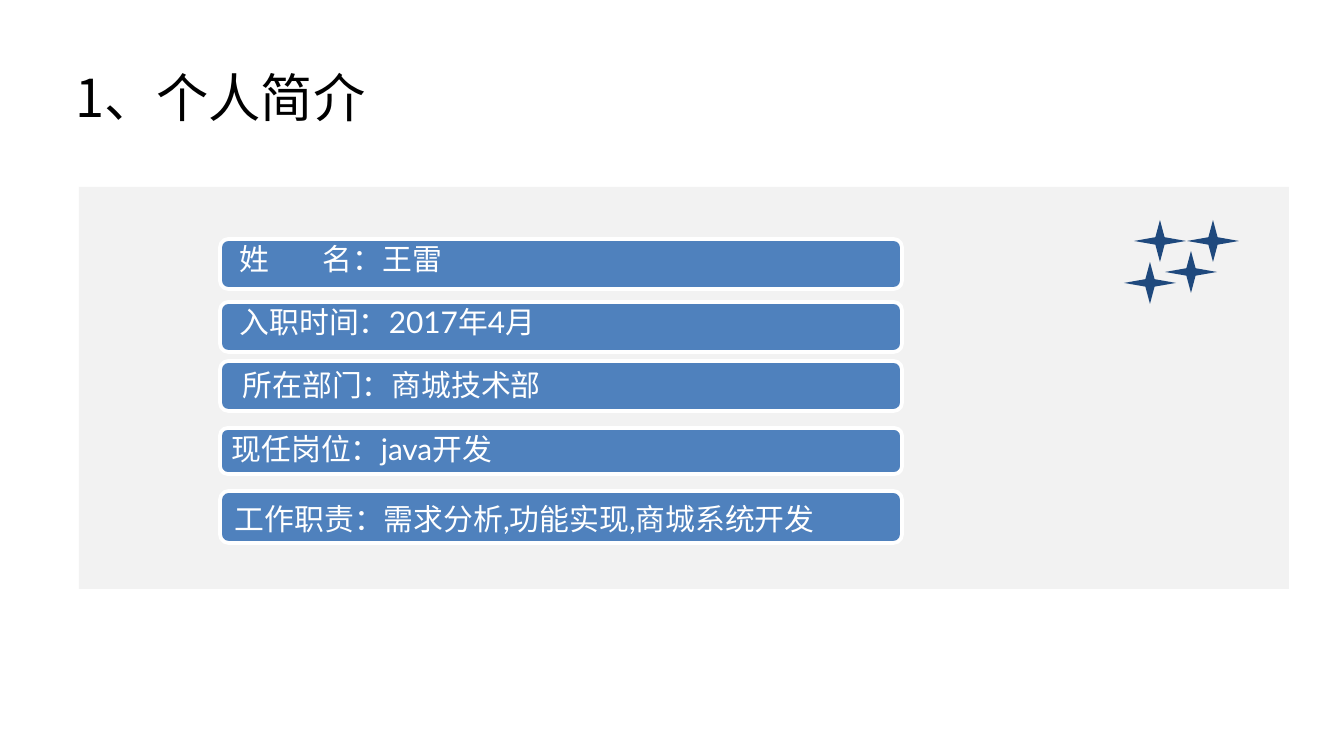
"""Build the personal introduction slide."""
import lxml.etree
import pptx
import pptx.dml.color
import pptx.enum.shapes
import pptx.enum.text
import pptx.oxml.ns
import pptx.util

COLORS = {"panel": "F2F2F2", "bar": "4F81BD", "star": "1F497D",
          "light": "FFFFFF", "title": "000000"}
SHAPES = pptx.enum.shapes.MSO_SHAPE
MIDDLE = pptx.enum.text.MSO_ANCHOR.MIDDLE
LEFT = pptx.enum.text.PP_ALIGN.LEFT


def px(value):
    return pptx.util.Emu(round(value * 914400 / 134.4))


def rgb(name):
    return pptx.dml.color.RGBColor.from_string(COLORS[name])


class SlideBuilder:
    def __init__(self, slide):
        self.slide = slide
        self.title_font = "Noto Sans CJK SC"
        self.body_font = "Lato"

    def format_text(self, paragraph, font_name, size, color):
        paragraph.alignment = LEFT
        paragraph.font.name = font_name
        paragraph.font.size = pptx.util.Pt(size)
        paragraph.font.color.rgb = rgb(color)

    def title(self, text, box):
        title = self.slide.shapes.title
        title.left, title.top, title.width, title.height = map(px, box)
        title.text_frame.text = text
        title.text_frame.vertical_anchor = MIDDLE
        self.format_text(title.text_frame.paragraphs[0], self.title_font, 28, "title")

    def shape(self, kind, box, fill, outline=None):
        shape = self.slide.shapes.add_shape(kind, *map(px, box))
        shape.shadow.inherit = False
        shape.fill.solid()
        shape.fill.fore_color.rgb = rgb(fill)
        if outline:
            shape.line.color.rgb = rgb(outline)
            shape.line.width = pptx.util.Pt(2)
        else:
            shape.line.fill.background()

    def label(self, text, box, tab=None):
        frame = self.slide.shapes.add_textbox(*map(px, box)).text_frame
        frame.word_wrap = True
        frame.vertical_anchor = MIDDLE
        frame.margin_left = frame.margin_right = px(9)
        frame.margin_top = frame.margin_bottom = px(4)
        frame.text = text
        paragraph = frame.paragraphs[0]
        paragraph.line_spacing = 0.9
        if tab:
            qn = pptx.oxml.ns.qn
            properties = paragraph._p.get_or_add_pPr()
            tabs = lxml.etree.SubElement(properties, qn("a:tabLst"))
            lxml.etree.SubElement(tabs, qn("a:tab"), pos=str(px(tab)), algn="l")
        self.format_text(paragraph, self.body_font, 16, "light")


presentation = pptx.Presentation()
presentation.slide_width = px(1344)
presentation.slide_height = px(756)
builder = SlideBuilder(presentation.slides.add_slide(presentation.slide_layouts[5]))

builder.shape(SHAPES.RECTANGLE, (79, 187, 1210, 402), "panel")
builder.title("1、个人简介", (62, 34, 1210, 126))

profile_rows = [
    ("姓\t名：王雷", 239, 50, (231, 239, 677, 44), 83),
    ("入职时间：2017年4月", 302, 50, (231, 302, 677, 44), None),
    ("所在部门：商城技术部", 361, 50, (234, 355, 675, 63), None),
    ("现任岗位：java开发", 428, 46, (223, 430, 676, 42), None),
    ("工作职责：需求分析,功能实现,商城系统开发", 491, 52, (226, 499, 673, 43), None),
]
for text, top, height, text_box, tab in profile_rows:
    builder.shape(SHAPES.ROUNDED_RECTANGLE, (220, top, 682, height), "bar", "light")
    builder.label(text, text_box, tab)

for left, top in [(1134, 220), (1124, 262), (1187, 220), (1165, 251)]:
    builder.shape(SHAPES.STAR_4_POINT, (left, top, 52, 42), "star")

presentation.save("out.pptx")
